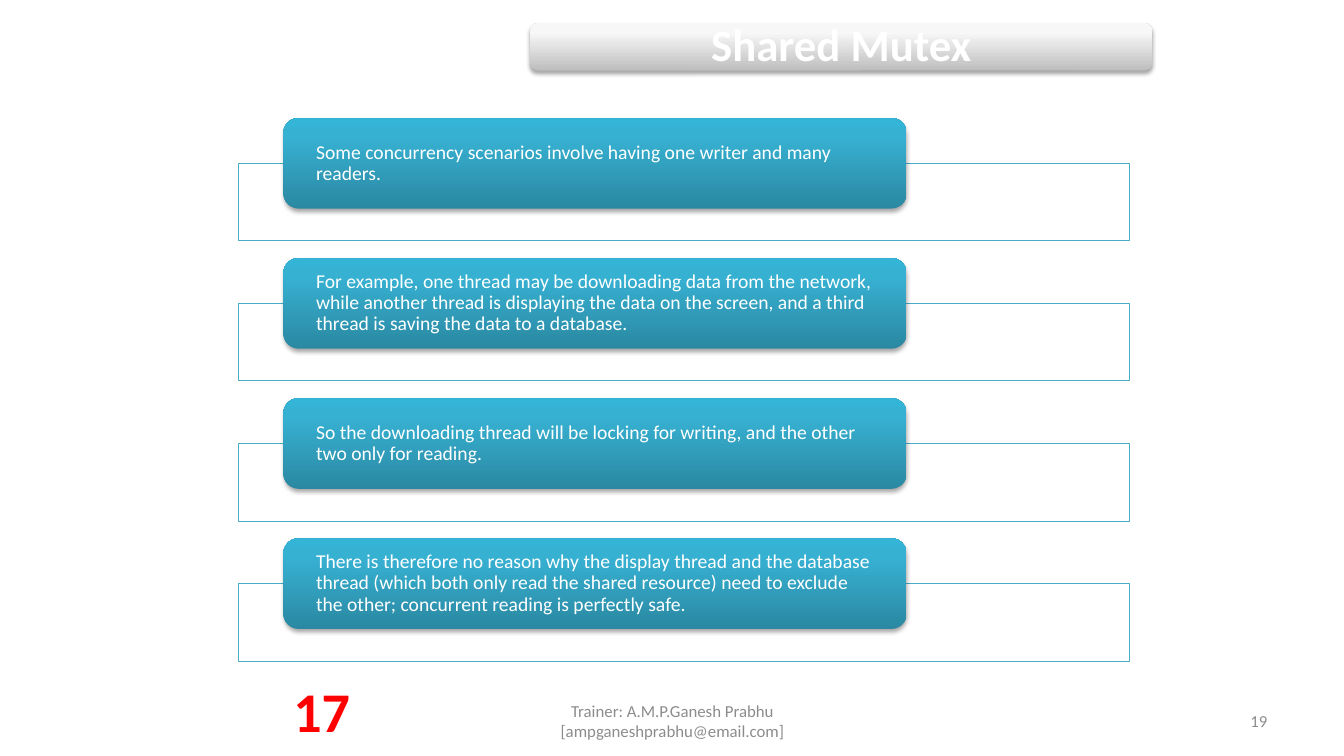
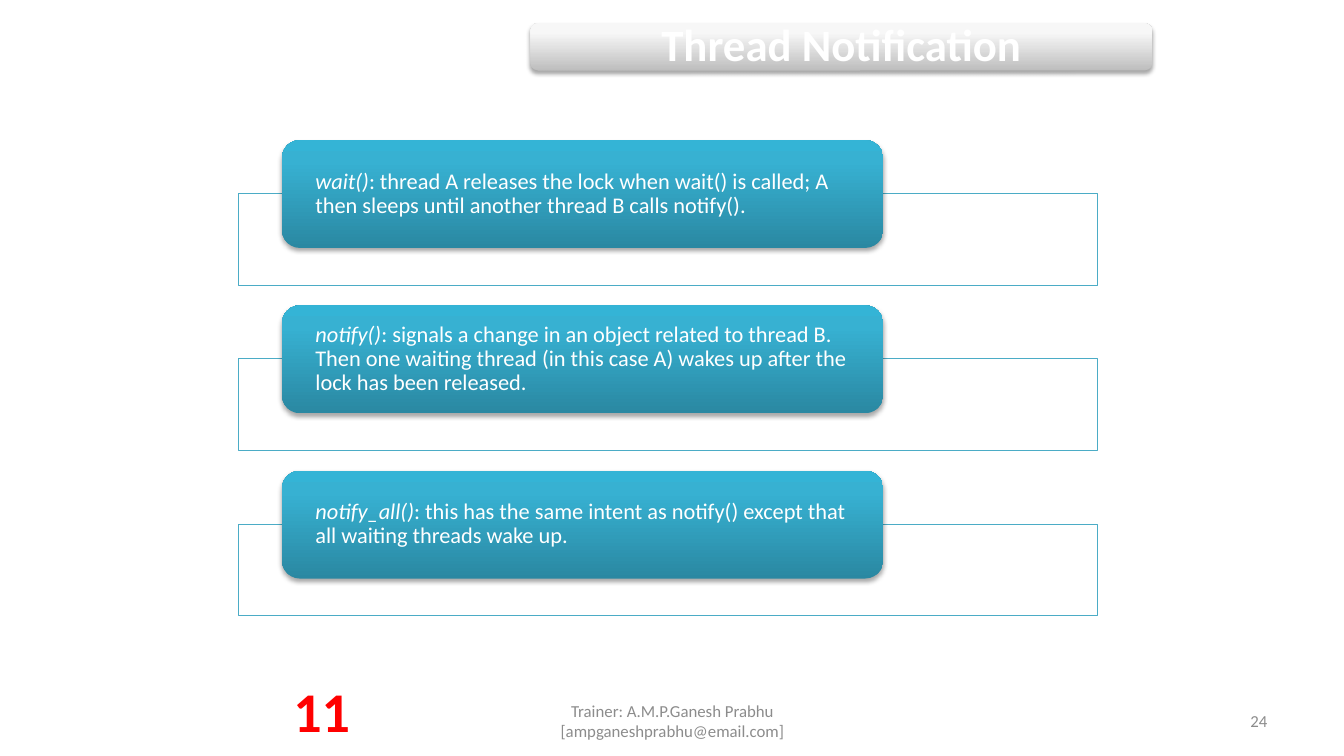
from lxml.etree import SubElement
from pptx import Presentation
from pptx.dml.color import RGBColor
from pptx.enum.shapes import MSO_SHAPE as Shape
from pptx.enum.text import MSO_ANCHOR as Anchor, MSO_AUTO_SIZE as AutoSize, PP_ALIGN as Align
from pptx.oxml.ns import qn
from pptx.util import Inches, Pt

FONT = "Calibri"
WHITE, GREY, RED, TEAL = "FFFFFF", "8C8C8C", "FF0000", "4BACC6"
CARD_STOPS = [(0, "2A88A2"), (80, "37B1D2"), (100, "34B4D6")]
BAND_STOPS = [(0, "BEBEBE"), (80, "F7F7F7"), (100, "F8F8F8")]
FOOTER = "Trainer: A.M.P.Ganesh Prabhu [ampganeshprabhu@email.com]"

SLIDES = [
    {
        "title": "Shared Mutex", "page": "19", "count": "17",
        "size": 14, "width": 8.83, "top": 1.17, "step": 1.39,
        "card_height": 0.9, "panel_drop": 0.45, "panel_height": 0.77,
        "points": [
            ("", "Some concurrency scenarios involve having one writer and many readers."),
            ("", "For example, one thread may be downloading data from the network, while another "
                 "thread is displaying the data on the screen, and a third thread is saving the "
                 "data to a database."),
            ("", "So the downloading thread will be locking for writing, and the other two only "
                 "for reading."),
            ("", "There is therefore no reason why the display thread and the database thread "
                 "(which both only read the shared resource) need to exclude the other; "
                 "concurrent reading is perfectly safe."),
        ],
    },
    {
        "title": "Thread Notification", "page": "24", "count": "11",
        "size": 16, "width": 8.52, "top": 1.39, "step": 1.64,
        "card_height": 1.07, "panel_drop": 0.53, "panel_height": 0.91,
        "points": [
            ("wait()", ": thread A releases the lock when wait() is called; A then sleeps until "
                       "another thread B calls notify()."),
            ("notify()", ": signals a change in an object related to thread B. Then one waiting "
                         "thread (in this case A) wakes up after the lock has been released."),
            ("notify_all()", ": this has the same intent as notify() except that all waiting "
                             "threads wake up."),
        ],
    },
]


def rgb(value):
    return RGBColor.from_string(value)


def box(left, top, width, height):
    return Inches(left), Inches(top), Inches(width), Inches(height)


def write(shape, text, lead="", size=12, color=GREY, bold=False, align=Align.LEFT,
          spacing=1.0, anchor=Anchor.MIDDLE, inset=(0.1, 0.05)):
    frame = shape.text_frame
    frame.word_wrap = True
    frame.auto_size = AutoSize.NONE
    frame.vertical_anchor = anchor
    frame.margin_left = frame.margin_right = Inches(inset[0])
    frame.margin_top = frame.margin_bottom = Inches(inset[1])
    paragraph = frame.paragraphs[0]
    paragraph.alignment = align
    paragraph.line_spacing = spacing
    for words, italic in ((lead, True), (text, False)):
        if words:
            run = paragraph.add_run()
            run.text = words
            run.font.name, run.font.size = FONT, Pt(size)
            run.font.bold, run.font.italic = bold, italic
            run.font.color.rgb = rgb(color)


def add_panel(slide, place):
    panel = slide.shapes.add_shape(Shape.RECTANGLE, *place)
    panel.shadow.inherit = False
    panel.fill.solid()
    panel.fill.fore_color.rgb = rgb(WHITE)
    fill_color = panel.fill._xPr.find(qn("a:solidFill"))[0]
    SubElement(fill_color, qn("a:alpha"), val="90000")
    panel.line.color.rgb = rgb(TEAL)
    panel.line.width = Pt(0.75)


def add_glossy(slide, place, stops):
    glossy = slide.shapes.add_shape(Shape.ROUNDED_RECTANGLE, *place)
    glossy.fill.gradient()
    glossy.fill.gradient_angle = 90
    glossy.line.fill.background()
    glossy.shadow.inherit = False
    properties = glossy._element.spPr
    stop_list = properties.find(qn("a:gradFill")).find(qn("a:gsLst"))
    for old_stop in list(stop_list):
        stop_list.remove(old_stop)
    for position, color in stops:
        stop = SubElement(stop_list, qn("a:gs"), pos=str(position * 1000))
        SubElement(stop, qn("a:srgbClr"), val=color)
    shadow = SubElement(properties.find(qn("a:effectLst")), qn("a:outerShdw"),
                        blurRad=str(Pt(3.1)), dist=str(Pt(1.8)), dir="5400000", rotWithShape="0")
    shadow_color = SubElement(shadow, qn("a:srgbClr"), val="000000")
    SubElement(shadow_color, qn("a:alpha"), val="35000")
    return glossy


def add_points(slide, content):
    left, width = 2.37, content["width"]
    for index, (lead, text) in enumerate(content["points"]):
        top = content["top"] + index * content["step"]
        add_panel(slide, box(left, top + content["panel_drop"], width, content["panel_height"]))
        card = add_glossy(slide, box(left + 0.05 * width, top, 0.7 * width,
                                     content["card_height"]), CARD_STOPS)
        write(card, text, lead=lead, size=content["size"], color=WHITE, spacing=0.9,
              inset=(0.28, 0.05))


def add_title(slide, text):
    add_glossy(slide, box(5.26, 0.23, 6.17, 0.47), BAND_STOPS)
    title = slide.shapes.title
    title.left, title.top, title.width, title.height = box(5.28, 0.26, 6.13, 0.42)
    write(title, text, size=32, color=WHITE, bold=True, align=Align.CENTER, spacing=0.9,
          inset=(0.13, 0.13))
    slide.shapes._spTree.append(title._element)


def add_footer(slide, page, count):
    def label(place, text, **style):
        write(slide.shapes.add_textbox(*place), text, **style)

    label(box(4.56, 6.95, 4.22, 0.4), FOOTER, align=Align.CENTER)
    label(box(9.56, 6.95, 3.11, 0.4), page, align=Align.RIGHT)
    label(box(2.8, 6.66, 0.78, 0.77), count, size=40, color=RED, bold=True,
          align=Align.CENTER, anchor=Anchor.TOP)


def main():
    deck = Presentation()
    deck.slide_width, deck.slide_height = Inches(13.33), Inches(7.5)
    title_only = deck.slide_layouts[5]
    for content in SLIDES:
        slide = deck.slides.add_slide(title_only)
        add_points(slide, content)
        add_title(slide, content["title"])
        add_footer(slide, content["page"], content["count"])
    deck.save("out.pptx")


if __name__ == "__main__":
    main()
